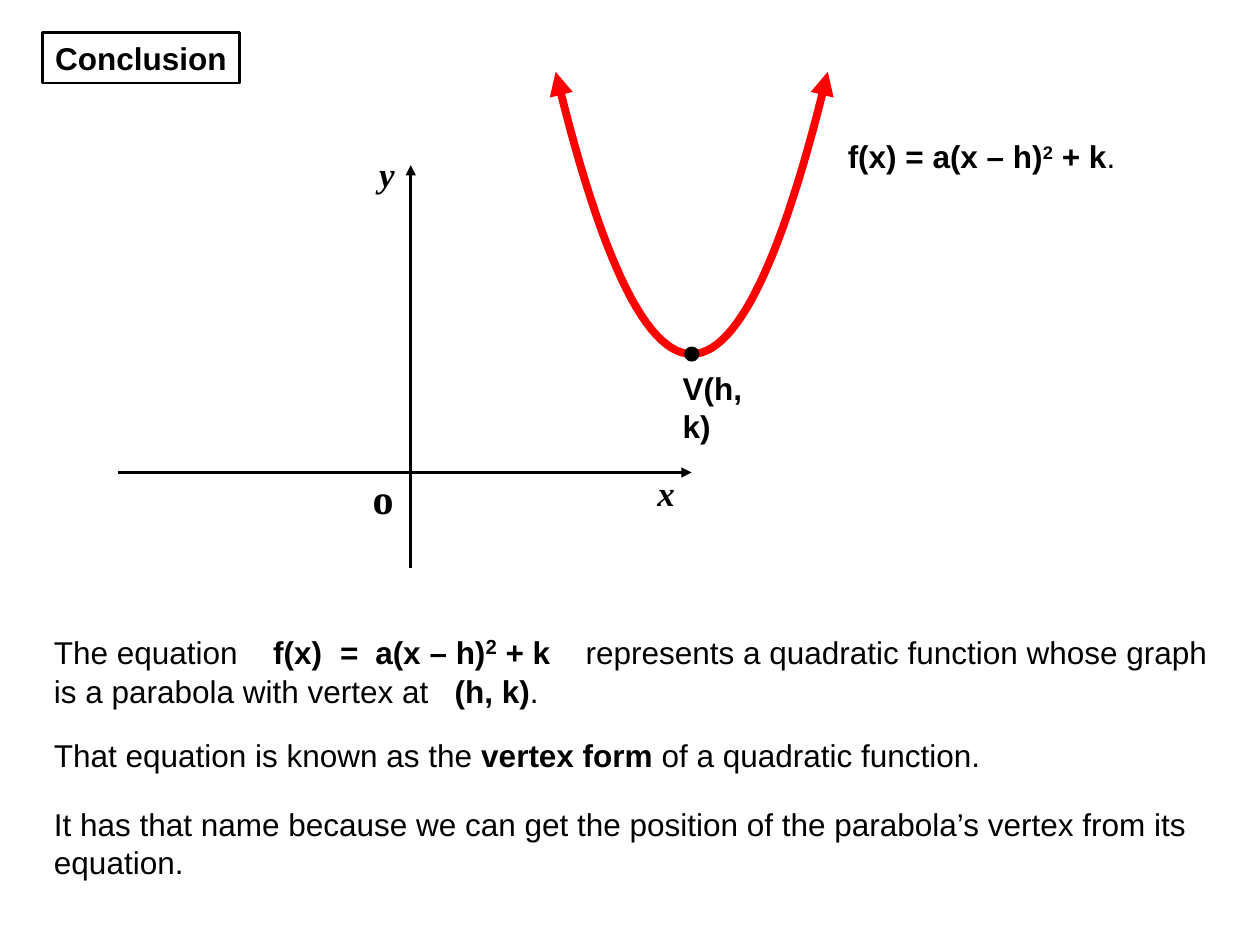
from dataclasses import dataclass

from lxml import etree
from pptx import Presentation
from pptx import util as u
from pptx.dml.color import RGBColor
from pptx.enum import shapes, text
from pptx.oxml import ns

COLORS = {"ink": "000000", "curve": "FF0000"}
VERTEX = (5.49, 2.81)
BRANCH_WIDTH, BRANCH_HEIGHT, BRANCH_STEPS = 1.08, 2.24, 27


@dataclass
class Span:
    text: str
    bold: bool = False
    size: int | None = None
    raised: bool = False


@dataclass
class Line:
    spans: list[Span]
    tabs: tuple[float, ...] = ()


@dataclass
class Block:
    left: float
    top: float
    width: float
    height: float
    lines: list[Line]
    font: str = "Arial"
    size: int = 18
    italic: bool = False
    wrap: bool = False
    framed: bool = False


def label(left: float, top: float, width: float, height: float, words: str, **style) -> Block:
    return Block(left, top, width, height, [Line([Span(words, True)])], **style)


BLOCKS = [
    label(5.12, 3.69, 0.34, 0.44, "x", font="Times New Roman", size=20, italic=True),
    label(2.91, 1.16, 0.32, 0.44, "y", font="Times New Roman", size=20, italic=True),
    label(2.86, 3.7, 0.36, 0.5, "o", font="Times New Roman", size=24),
    label(5.32, 2.88, 0.96, 0.4, "V(h, k)"),
    label(0.34, 0.26, 1.56, 0.4, "Conclusion", framed=True),
    Block(6.63, 1.04, 2.32, 0.4, [Line([
        Span("f(x) = a(x – h)", True), Span("2", True, raised=True),
        Span(" + k", True), Span(".")])]),
    Block(0.33, 4.95, 9.42, 0.74, [
        Line([Span("The equation\t"), Span("f(x)\t=\ta(x – h)", True),
              Span("2", True, 20, True), Span(" + k", True),
              Span("\trepresents a quadratic function whose graph")],
             (1.74, 2.27, 2.55, 4.22)),
        Line([Span("is a parabola with vertex at\t"), Span("(h, k)", True), Span(".")],
             (3.18,))], wrap=True),
    Block(0.33, 5.79, 7.55, 0.4, [Line([
        Span("That equation is known as the "), Span("vertex form", True),
        Span(" of a quadratic function.")])], wrap=True),
    Block(0.33, 6.34, 9.19, 0.7, [
        Line([Span("It has that name because we can get the position of the "
                   "parabola’s vertex from its")]),
        Line([Span("equation.")])], wrap=True),
]


def color(name: str) -> RGBColor:
    return RGBColor.from_string(COLORS[name])


def set_line(shape, name: str, width: float, arrow: bool = False) -> None:
    shape.line.color.rgb = color(name)
    shape.line.width = u.Pt(width)
    if arrow:
        outline = shape.line._get_or_add_ln()
        etree.SubElement(outline, ns.qn("a:tailEnd"), type="triangle")


def add_tabs(paragraph, stops: tuple[float, ...]) -> None:
    tab_list = etree.Element(ns.qn("a:tabLst"))
    for stop in stops:
        etree.SubElement(tab_list, ns.qn("a:tab"), pos=str(u.Inches(stop)), algn="l")
    paragraph._p.get_or_add_pPr().insert(0, tab_list)


def fill_paragraph(paragraph, line: Line, block: Block) -> None:
    font = paragraph.font
    font.name, font.size, font.italic = block.font, u.Pt(block.size), block.italic
    font.color.rgb = color("ink")
    same_weight = len({span.bold for span in line.spans}) == 1
    if same_weight:
        font.bold = line.spans[0].bold
    if line.tabs:
        add_tabs(paragraph, line.tabs)
    for span in line.spans:
        run = paragraph.add_run()
        run.text = span.text
        if not same_weight:
            run.font.bold = span.bold
        if span.size:
            run.font.size = u.Pt(span.size)
        if span.raised:
            run._r.get_or_add_rPr().set("baseline", "30000")


def add_block(page, block: Block) -> None:
    place = [u.Inches(n) for n in (block.left, block.top, block.width, block.height)]
    box = page.shapes.add_textbox(*place)
    if block.framed:
        set_line(box, "ink", 1.5)
    frame = box.text_frame
    frame.word_wrap = block.wrap
    frame.auto_size = text.MSO_AUTO_SIZE.SHAPE_TO_FIT_TEXT
    for index, line in enumerate(block.lines):
        paragraph = frame.add_paragraph() if index else frame.paragraphs[0]
        fill_paragraph(paragraph, line, block)


def add_axis(page, start: tuple[float, float], end: tuple[float, float]) -> None:
    axis = page.shapes.add_connector(
        shapes.MSO_CONNECTOR.STRAIGHT, *(u.Inches(n) for n in start + end))
    set_line(axis, "ink", 1.5, arrow=True)
    etree.SubElement(axis._element.spPr, ns.qn("a:effectLst"))


def add_branch(page, side: int) -> None:
    """Draw half of the parabola, left for side -1 and right for side 1."""
    points = []
    for step in range(BRANCH_STEPS + 1):
        share = step / BRANCH_STEPS
        points.append((u.Inches(VERTEX[0] + side * BRANCH_WIDTH * share),
                       u.Inches(VERTEX[1] - BRANCH_HEIGHT * share ** 2)))
    builder = page.shapes.build_freeform(*points[0])
    builder.add_line_segments(points[1:], close=False)
    branch = builder.convert_to_shape()
    branch.shadow.inherit = False
    branch.fill.background()
    set_line(branch, "curve", 4.5, arrow=True)


def add_vertex(page, size: float) -> None:
    place = [u.Inches(n - size / 2) for n in VERTEX]
    dot = page.shapes.add_shape(
        shapes.MSO_SHAPE.OVAL, *place, u.Inches(size), u.Inches(size))
    dot.shadow.inherit = False
    dot.fill.solid()
    dot.fill.fore_color.rgb = color("ink")
    set_line(dot, "ink", 0.75)


def main() -> None:
    deck = Presentation()
    deck.slide_width, deck.slide_height = u.Inches(10), u.Inches(7.5)
    page = deck.slides.add_slide(deck.slide_layouts[6])
    add_axis(page, (0.94, 3.75), (5.49, 3.75))
    add_axis(page, (3.26, 4.51), (3.26, 1.31))
    for side in (-1, 1):
        add_branch(page, side)
    add_vertex(page, 0.11)
    for block in BLOCKS:
        add_block(page, block)
    deck.save("out.pptx")


if __name__ == "__main__":
    main()
